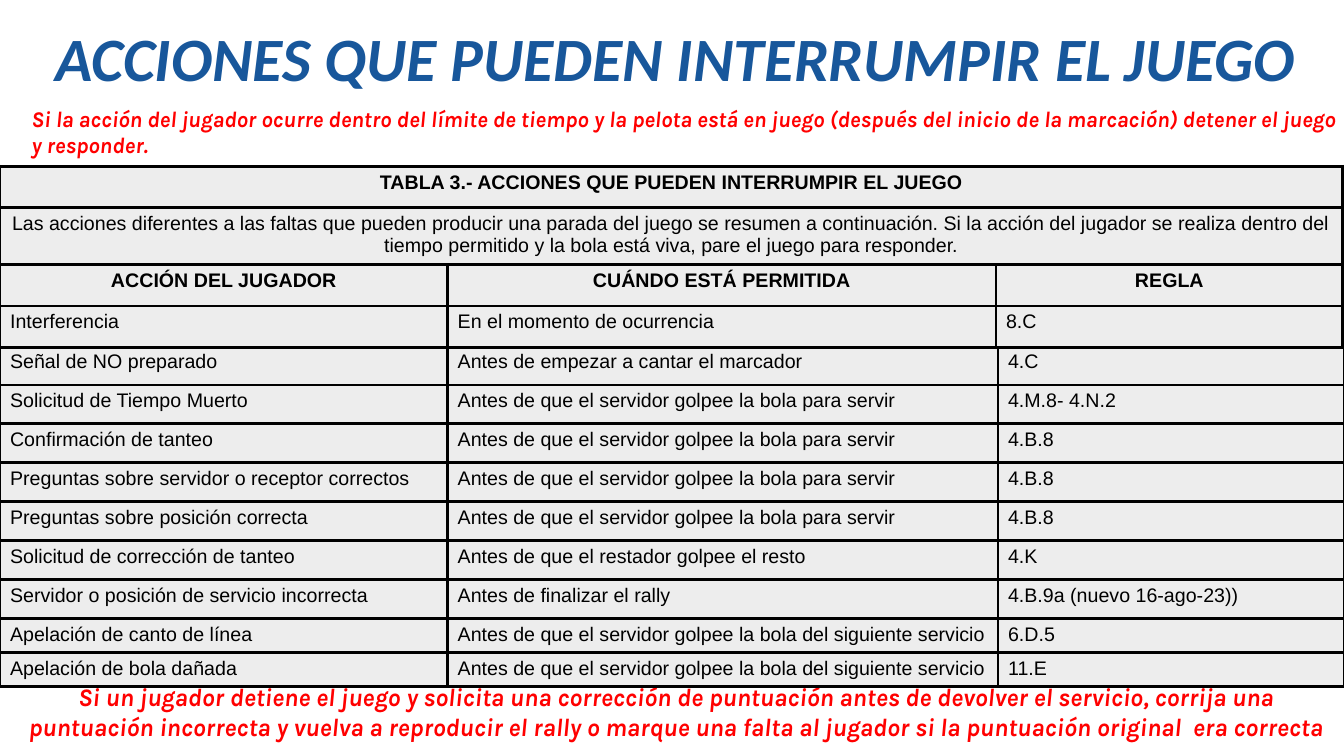
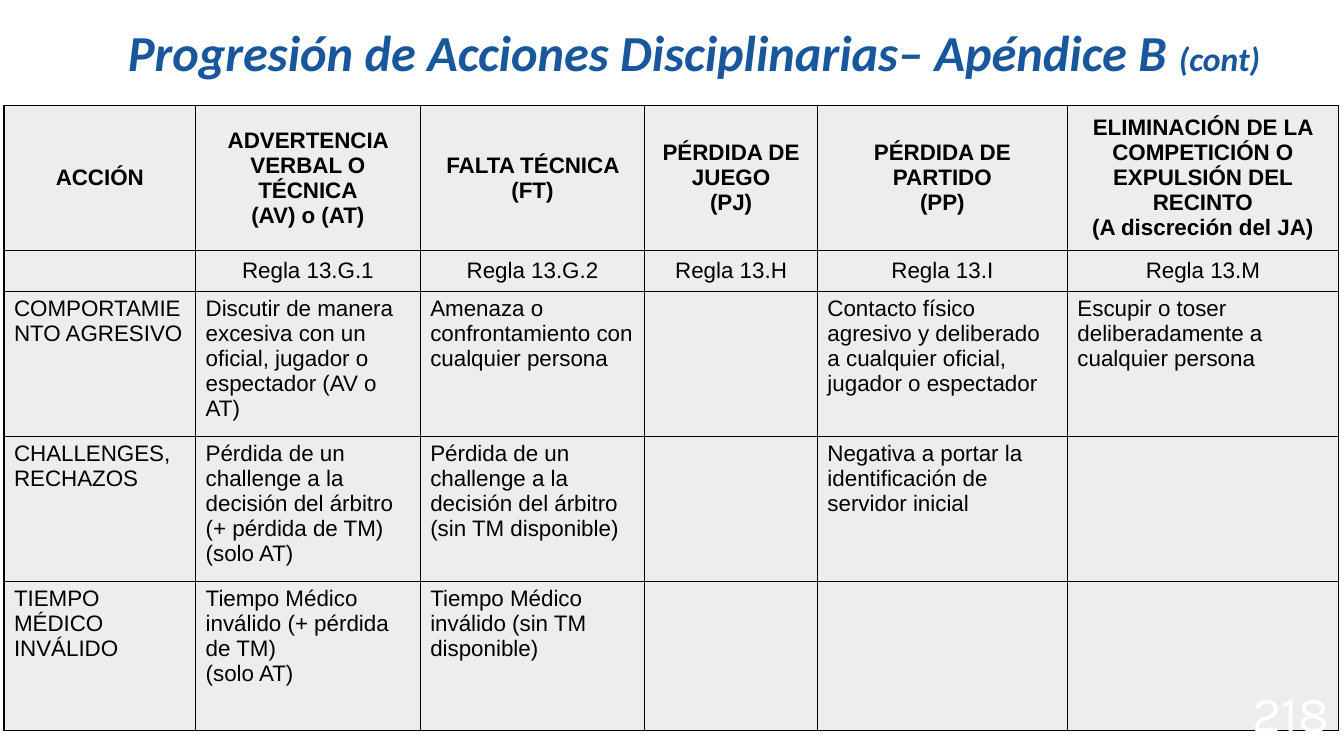
from lxml import etree
from pptx import Presentation
from pptx.dml.color import RGBColor
from pptx.enum import text
from pptx.oxml.ns import qn
from pptx.util import Cm, Pt

BLUE = RGBColor(0x18, 0x57, 0x9B)
RED = RGBColor(0xFF, 0x00, 0x00)
WHITE = RGBColor(0xFF, 0xFF, 0xFF)
BLACK = RGBColor(0x00, 0x00, 0x00)
GRAY = RGBColor(0xED, 0xED, 0xED)

LEFT, CENTER, RIGHT = text.PP_ALIGN.LEFT, text.PP_ALIGN.CENTER, text.PP_ALIGN.RIGHT
TOP, MIDDLE = text.MSO_ANCHOR.TOP, text.MSO_ANCHOR.MIDDLE

BEFORE_SERVE = "Antes de que el servidor golpee la bola para servir"
BEFORE_NEXT_SERVE = "Antes de que el servidor golpee la bola del siguiente servicio"

SUMMARY_ROWS = [
    ["TABLA 3.- ACCIONES QUE PUEDEN INTERRUMPIR EL JUEGO"],
    ["Las acciones diferentes a las faltas que pueden producir una parada del juego "
     "se resumen a continuación. Si la acción del jugador se realiza dentro del "
     "tiempo permitido y la bola está viva, pare el juego para responder."],
    ["ACCIÓN DEL JUGADOR", "CUÁNDO ESTÁ PERMITIDA", "REGLA"],
    ["Interferencia", "En el momento de ocurrencia", "8.C"],
]
ACTION_ROWS = [
    ["Señal de NO preparado", "Antes de empezar a cantar el marcador", "4.C"],
    ["Solicitud de Tiempo Muerto", BEFORE_SERVE, "4.M.8- 4.N.2"],
    ["Confirmación de tanteo", BEFORE_SERVE, "4.B.8"],
    ["Preguntas sobre servidor o receptor correctos", BEFORE_SERVE, "4.B.8"],
    ["Preguntas sobre posición correcta", BEFORE_SERVE, "4.B.8"],
    ["Solicitud de corrección de tanteo", "Antes de que el restador golpee el resto", "4.K"],
    ["Servidor o posición de servicio incorrecta", "Antes de finalizar el rally",
     "4.B.9a (nuevo 16-ago-23))"],
    ["Apelación de canto de línea", BEFORE_NEXT_SERVE, "6.D.5"],
    ["Apelación de bola dañada", BEFORE_NEXT_SERVE, "11.E"],
]
DISCIPLINE_ROWS = [
    ["ACCIÓN", "ADVERTENCIA VERBAL O TÉCNICA\n(AV) o (AT)", "FALTA TÉCNICA (FT)",
     "PÉRDIDA DE JUEGO\n(PJ)", "PÉRDIDA DE PARTIDO\n(PP)",
     "ELIMINACIÓN DE LA COMPETICIÓN O EXPULSIÓN DEL RECINTO\n(A discreción del JA)"],
    ["", "Regla 13.G.1", "Regla 13.G.2", "Regla 13.H", "Regla 13.I", "Regla 13.M"],
    ["COMPORTAMIENTO AGRESIVO",
     "Discutir de manera excesiva con un oficial, jugador o espectador (AV o AT)",
     "Amenaza o confrontamiento con cualquier persona", "",
     "Contacto físico agresivo y deliberado a cualquier oficial, jugador o espectador",
     "Escupir o toser deliberadamente a cualquier persona"],
    ["CHALLENGES, RECHAZOS",
     "Pérdida de un challenge a la decisión del árbitro (+ pérdida de TM)\n(solo AT)",
     "Pérdida de un challenge a la decisión del árbitro (sin TM disponible)", "",
     "Negativa a portar la identificación de servidor inicial", ""],
    ["TIEMPO MÉDICO INVÁLIDO",
     "Tiempo Médico inválido (+ pérdida de TM)\n(solo AT)",
     "Tiempo Médico inválido (sin TM disponible)", "", "", ""],
]


class Deck:
    def __init__(self):
        self.presentation = Presentation()
        self.presentation.slide_width = Cm(33.87)
        self.presentation.slide_height = Cm(19.05)
        self.slide = None

    def new_slide(self):
        self.slide = self.presentation.slides.add_slide(self.presentation.slide_layouts[6])
        self.slide.background.fill.solid()
        self.slide.background.fill.fore_color.rgb = WHITE

    def style(self, paragraph, font_name, size, color, bold=False, italic=False, align=LEFT):
        paragraph.alignment = align
        font = paragraph.font
        font.name, font.size = font_name, Pt(size)
        font.bold, font.italic = bold, italic
        font.color.rgb = color

    def text_box(self, content, box, anchor=TOP, side_margin=0.13, **style):
        shape = self.slide.shapes.add_textbox(*map(Cm, box))
        frame = shape.text_frame
        frame.word_wrap = True
        frame.auto_size = text.MSO_AUTO_SIZE.SHAPE_TO_FIT_TEXT
        frame.vertical_anchor = anchor
        frame.margin_left = frame.margin_right = Cm(side_margin)
        frame.margin_top = frame.margin_bottom = Cm(0.13)
        paragraph = frame.paragraphs[0]
        paragraph.add_run().text = content
        self.style(paragraph, **style)
        return paragraph

    def title(self, content, box, size, suffix=None, **options):
        paragraph = self.text_box(content, box, font_name="Calibri", size=size, color=BLUE,
                                  bold=True, italic=True, align=CENTER, **options)
        if suffix:
            run = paragraph.add_run()
            run.text = suffix
            run.font.size = Pt(24)

    def note(self, content, box, size, align=LEFT):
        self.text_box(content, box, font_name="Karla", size=size, color=RED,
                      bold=True, italic=True, align=align)

    def page_number(self, number):
        self.text_box(number, (31.22, 17.04, 2.41, 1.8), anchor=MIDDLE,
                      font_name="Karla", size=36, color=WHITE, align=RIGHT)

    def cell_borders(self, cell, width):
        properties = cell._tc.get_or_add_tcPr()
        for position, side in enumerate(("lnL", "lnR", "lnT", "lnB")):
            line = etree.Element(qn(f"a:{side}"), w=str(Pt(width)))
            fill = etree.SubElement(line, qn("a:solidFill"))
            etree.SubElement(fill, qn("a:srgbClr"), val=str(BLACK))
            properties.insert(position, line)

    def table(self, rows, left, top, widths, heights, size, border,
              bold_rows=(), centered_rows=(), middle_rows=()):
        """Draw a table; a row with a single text spans all columns."""
        frame = self.slide.shapes.add_table(
            len(rows), len(widths), Cm(left), Cm(top), Cm(sum(widths)), Cm(sum(heights)))
        table = frame.table
        table.first_row = table.horz_banding = False
        for column, width in zip(table.columns, widths):
            column.width = Cm(width)
        for index, (row, height, contents) in enumerate(zip(table.rows, heights, rows)):
            row.height = Cm(height)
            for cell in row.cells:
                cell.fill.solid()
                cell.fill.fore_color.rgb = GRAY
                self.cell_borders(cell, border)
            if len(contents) == 1:
                table.cell(index, 0).merge(table.cell(index, len(widths) - 1))
            for cell, content in zip(row.cells, contents):
                cell.vertical_anchor = MIDDLE if index in middle_rows else TOP
                cell.text_frame.text = content
                for paragraph in cell.text_frame.paragraphs:
                    self.style(paragraph, "Arial", size, BLACK, bold=index in bold_rows,
                               align=CENTER if index in centered_rows else LEFT)


def interruptions_slide(deck):
    deck.new_slide()
    deck.title("ACCIONES QUE PUEDEN INTERRUMPIR EL JUEGO", (0.43, 0.38, 33.22, 2.13), 44)
    deck.note("Si la acción del jugador ocurre dentro del límite de tiempo y la pelota está "
              "en juego (después del inicio de la marcación) detener el juego y responder.",
              (0.66, 2.51, 33.22, 1.6), 16)
    deck.note("Si un jugador detiene el juego y solicita una corrección de puntuación antes de "
              "devolver el servicio, corrija una puntuación incorrecta y vuelva a reproducir el "
              "rally o marque una falta al jugador si la puntuación original  era correcta",
              (0.43, 17.04, 33.22, 1.8), 18, CENTER)
    deck.table(ACTION_ROWS, 0, 8.72, [11.28, 13.87, 8.74], [0.98] * 7 + [0.86] * 2,
               size=14, border=2.25)
    deck.table(SUMMARY_ROWS, 0, 4.19, [11.28, 13.82, 8.74], [1.04, 1.42, 1.04, 1.04],
               size=14, border=2.25, bold_rows=(0, 2), centered_rows=(0, 1, 2))


def discipline_slide(deck):
    deck.new_slide()
    deck.title("Progresión de Acciones Disciplinarias– Apéndice B ", (1.96, 0.41, 31.06, 1.8),
               36, suffix="(cont)", side_margin=0.25)
    deck.table(DISCIPLINE_ROWS, 0.1, 2.66, [4.83, 5.66, 5.66, 4.35, 6.3, 6.83],
               [3.65, 1.04, 3.65, 3.65, 3.75], size=16, border=1,
               bold_rows=(0,), centered_rows=(0, 1), middle_rows=(0, 1))
    deck.page_number("218")


def main():
    deck = Deck()
    interruptions_slide(deck)
    discipline_slide(deck)
    deck.presentation.save("out.pptx")


if __name__ == "__main__":
    main()
